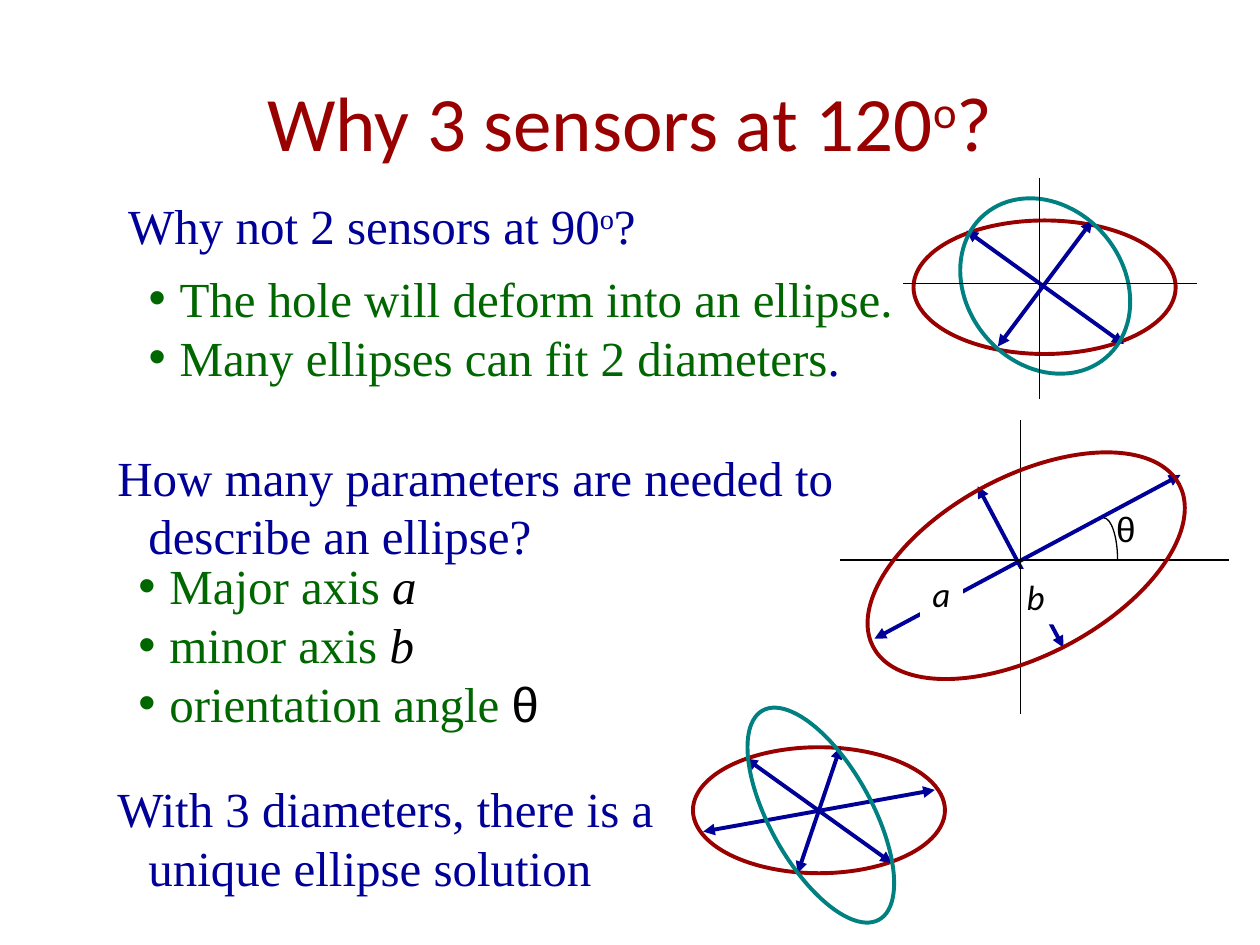
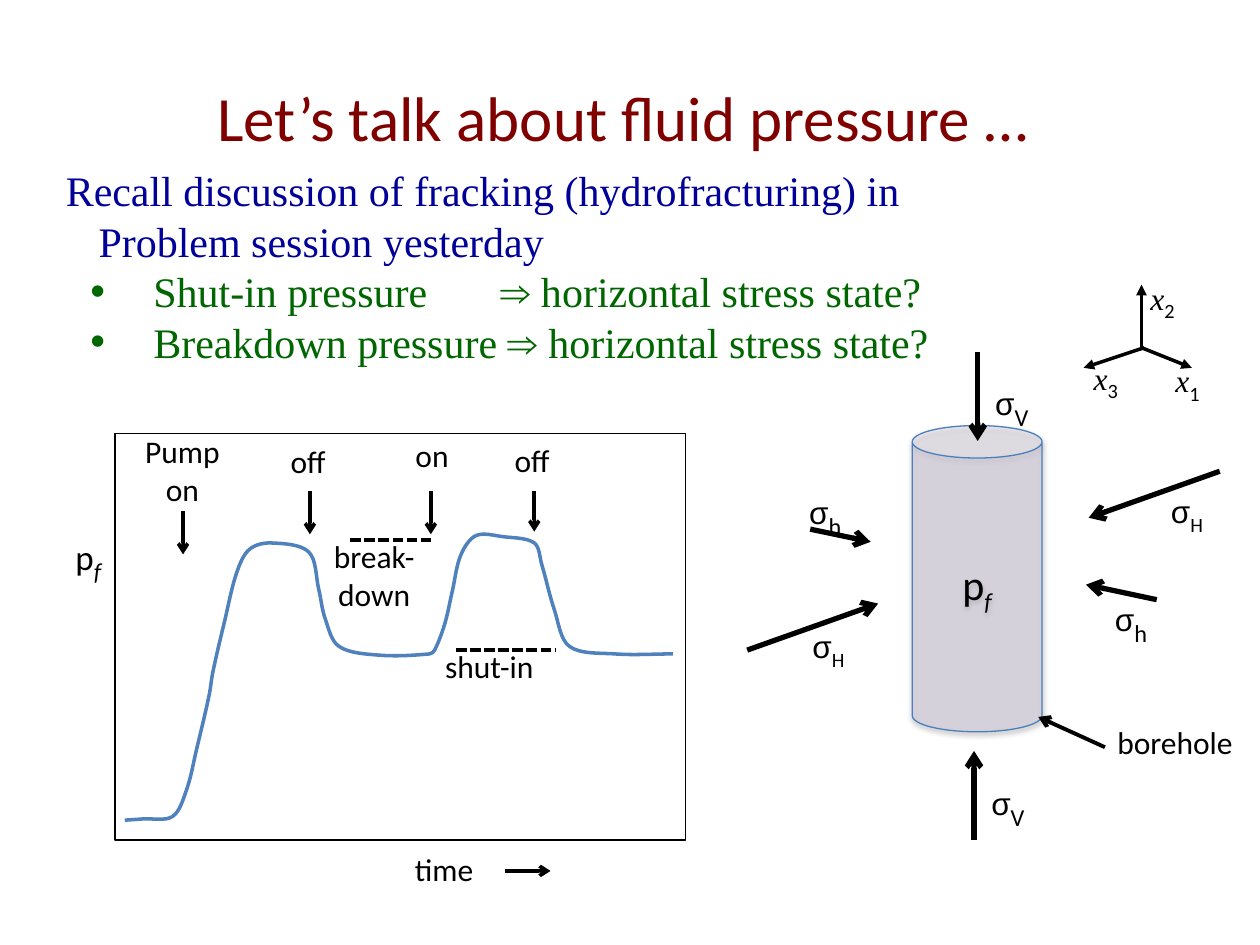
import math
from dataclasses import dataclass, replace

import pptx
import pptx.dml.color
import pptx.enum.dml
import pptx.enum.shapes
import pptx.enum.text
import pptx.oxml
import pptx.oxml.ns
import pptx.util

Pt = pptx.util.Pt
RGBColor = pptx.dml.color.RGBColor
SHAPE = pptx.enum.shapes.MSO_SHAPE
ALIGN = pptx.enum.text.PP_ALIGN
qn = pptx.oxml.ns.qn

BLACK = RGBColor(0x00, 0x00, 0x00)
WHITE = RGBColor(0xFF, 0xFF, 0xFF)
RED = RGBColor(0x99, 0x00, 0x00)
MAROON = RGBColor(0x80, 0x00, 0x00)
NAVY = RGBColor(0x00, 0x00, 0x99)
GREEN = RGBColor(0x00, 0x66, 0x00)
TEAL = RGBColor(0x00, 0x80, 0x80)
BLUE = RGBColor(0x4F, 0x81, 0xBD)
CAN_EDGE = RGBColor(0x4B, 0x7E, 0xBC)
LILAC = RGBColor(0xCC, 0xC1, 0xDA)


@dataclass(frozen=True)
class Style:
    size: float
    font: str = "Calibri"
    color: RGBColor = BLACK
    italic: bool = False
    baseline: int = 0


@dataclass(frozen=True)
class Layout:
    margin: float = 0
    hanging: float = 0
    bullet: bool = False
    tabs: tuple = ()


LABEL = Style(18)
LETTER = Style(20, italic=True)
THETA = Style(20, "Arial")
QUESTION = Style(28, "Times New Roman", NAVY)
ANSWER = replace(QUESTION, color=GREEN)
SYMBOL = replace(QUESTION, color=BLACK, italic=True)
PLAIN = Layout()
HANGING = Layout(17.7, 17.7)
BULLET = Layout(17.7, 17.7, True)


def drawing_xml(tag, inner="", **attributes):
    settings = " ".join(f'{key}="{value}"' for key, value in attributes.items())
    return pptx.oxml.parse_xml(
        f"<a:{tag} {pptx.oxml.ns.nsdecls('a')} {settings}>{inner}</a:{tag}>")


def lay_out(paragraph, layout):
    properties = paragraph._p.get_or_add_pPr()
    properties.set("marL", str(Pt(layout.margin)))
    properties.set("indent", str(-Pt(layout.hanging)))
    if layout.bullet:
        properties.append(drawing_xml("buFont", typeface="Arial"))
        properties.append(drawing_xml("buChar", char="•"))
    if layout.tabs:
        stops = "".join(f'<a:tab pos="{Pt(tab)}" algn="l"/>' for tab in layout.tabs)
        properties.append(drawing_xml("tabLst", stops))


def write(frame, paragraphs, align=ALIGN.LEFT, layout=PLAIN):
    for index, pieces in enumerate(paragraphs):
        paragraph = frame.paragraphs[0] if index == 0 else frame.add_paragraph()
        paragraph.alignment = align
        if layout != PLAIN:
            lay_out(paragraph, layout)
        for words, style in pieces:
            run = paragraph.add_run()
            run.text = words
            run.font.size = Pt(style.size)
            run.font.name = style.font
            run.font.color.rgb = style.color
            run.font.italic = style.italic
            if style.baseline:
                run._r.get_or_add_rPr().set("baseline", str(style.baseline * 1000))


def add_text(parent, box, paragraphs, align=ALIGN.LEFT, layout=PLAIN, wrap=True, fill=None):
    text = parent.shapes.add_textbox(*map(Pt, box))
    frame = text.text_frame
    frame.word_wrap = wrap
    frame.auto_size = pptx.enum.text.MSO_AUTO_SIZE.SHAPE_TO_FIT_TEXT
    if fill is not None:
        text.fill.solid()
        text.fill.fore_color.rgb = fill
    write(frame, paragraphs, align, layout)
    return frame


def add_title(slide, left, top, width, pieces):
    frame = add_text(slide, (left, top, width, 90), [pieces], ALIGN.CENTER)
    frame.auto_size = pptx.enum.text.MSO_AUTO_SIZE.NONE
    frame.vertical_anchor = pptx.enum.text.MSO_ANCHOR.MIDDLE


def add_line(parent, start, end, color=BLACK, width=0.75, head=None, tail=None, dashed=False):
    line = parent.shapes.add_connector(
        pptx.enum.shapes.MSO_CONNECTOR.STRAIGHT, *map(Pt, (*start, *end)))
    line.line.color.rgb = color
    line.line.width = Pt(width)
    if dashed:
        line.line.dash_style = pptx.enum.dml.MSO_LINE.SQUARE_DOT
    properties = line._element.spPr
    outline = properties.find(qn("a:ln"))
    for end_name, arrowhead in (("headEnd", head), ("tailEnd", tail)):
        if arrowhead:
            outline.append(drawing_xml(end_name, type=arrowhead))
    properties.append(drawing_xml("effectLst"))


def outline_only(shape, color, width):
    shape.shadow.inherit = False
    shape.fill.background()
    shape.line.color.rgb = color
    shape.line.width = Pt(width)


def add_outline(parent, kind, box, color, width=2.25, rotation=0):
    shape = parent.shapes.add_shape(kind, *map(Pt, box))
    shape.rotation = rotation
    outline_only(shape, color, width)
    return shape


def add_curve(parent, start, bends, color, width):
    builder = parent.shapes.build_freeform(*map(Pt, start))
    builder.add_line_segments([tuple(map(Pt, bend[-1])) for bend in bends], close=False)
    curve = builder.convert_to_shape()
    outline_only(curve, color, width)
    left, top = curve.left, curve.top
    straights = list(curve._element.spPr.iter(qn("a:lnTo")))
    for straight, bend in zip(straights, bends):
        points = "".join(f'<a:pt x="{Pt(x) - left}" y="{Pt(y) - top}"/>' for x, y in bend)
        straight.getparent().replace(straight, drawing_xml("cubicBezTo", points))


def smooth(knots):
    lengths = [math.dist(a, b) for a, b in zip(knots, knots[1:])]
    last = len(knots) - 1

    def handle(i, reach):
        before, after = max(i - 1, 0), min(i + 1, last)
        scale = reach / 3 / sum(lengths[before:after])
        return tuple(knots[i][axis] + scale * (knots[after][axis] - knots[before][axis])
                     for axis in (0, 1))

    return [(handle(i, length), handle(i + 1, -length), knots[i + 1])
            for i, length in enumerate(lengths)]


def add_diameters(parent, diameters):
    for start, end in diameters:
        add_line(parent, start, end, NAVY, 2.25, "triangle", "triangle")


def add_cross(parent, left, right, top, bottom, center):
    x, y = center
    add_line(parent, (left, y), (right, y))
    add_line(parent, (x, bottom), (x, top))


def add_symbol(parent, left, top, width, symbol, style, index, index_size):
    subscript = Style(index_size, baseline=-25)
    add_text(parent, (left, top, width, 28.8), [[(symbol, style), (index, subscript)]],
             wrap=False)


def draw_two_diameters(group):
    add_outline(group, SHAPE.OVAL, (522, 126, 149.8, 76.3), RED)
    add_diameters(group, [((552.2, 131.8), (642.2, 196.6)), ((570.2, 198), (624.2, 126))])
    add_outline(group, SHAPE.OVAL, (543.6, 118.8, 107.3, 89.3), TEAL, rotation=50)
    add_cross(group, 516.2, 684, 102, 228, (594, 162))


def draw_three_diameters(group):
    add_outline(group, SHAPE.OVAL, (396, 427, 144, 72), RED)
    add_diameters(group, [((426.2, 433.4), (509.8, 493.2)),
                          ((401.8, 475.2), (534.2, 451.4)),
                          ((455.8, 499), (480.2, 427))])
    add_outline(group, SHAPE.OVAL, (439.9, 397.4, 58.3, 136.8), TEAL, rotation=330.9)


def draw_ellipse_parameters(group):
    add_diameters(group, [((558.7, 277.9), (607.7, 370.1)), ((499.7, 365), (674.6, 271.4))])
    add_curve(group, (630.7, 295.9), [((635, 295.9), (638.6, 306.7), (638.6, 319.9))],
              BLACK, 0.75)
    for left, top, letter, style, fill in ((630.7, 286.6, "θ", THETA, None),
                                           (579.6, 325.2, "b", LETTER, WHITE),
                                           (525.8, 323.7, "a", LETTER, WHITE)):
        add_text(group, (left, top, 24.5, 31.7), [[(letter, style)]], wrap=False, fill=fill)
    add_cross(group, 480.2, 702, 240, 408, (583.2, 320))
    add_outline(group, SHAPE.OVAL, (487.4, 272.2, 198, 102.2), RED, rotation=332)


def build_sensors(slide):
    heading = Style(44, color=RED)
    add_title(slide, 54, 23.8, 612, [("Why 3 sensors at 120", heading),
                                     ("o", replace(heading, baseline=30)), ("?", heading)])
    add_text(slide, (77.8, 149.8, 439.9, 74.2),
             [[("The hole will deform into an ellipse.", ANSWER)],
              [("Many ellipses can fit 2 diameters", ANSWER), (".", QUESTION)]],
             layout=BULLET, wrap=False)
    draw_two_diameters(slide.shapes.add_group_shape())
    draw_three_diameters(slide.shapes.add_group_shape())
    add_text(slide, (66.2, 108, 306, 41),
             [[("Why not 2 sensors at 90", QUESTION),
               ("o", replace(QUESTION, baseline=30)), ("?", QUESTION)]],
             layout=HANGING, wrap=False)
    add_text(slide, (60, 252, 444.2, 74.2),
             [[("How many parameters are needed to describe an ellipse?", QUESTION)]],
             layout=HANGING)
    add_text(slide, (72, 314.2, 257.8, 108),
             [[("Major axis ", ANSWER), ("a", SYMBOL)],
              [("minor axis ", ANSWER), ("b", SYMBOL)],
              [("orientation angle ", ANSWER), ("θ", replace(THETA, size=28))]],
             layout=BULLET)
    add_text(slide, (60, 441.4, 365.8, 74.2),
             [[("With 3 diameters, there is a unique ellipse solution", QUESTION)]],
             layout=HANGING)
    draw_ellipse_parameters(slide.shapes.add_group_shape())


def draw_pressure_record(group):
    add_outline(group, SHAPE.RECTANGLE, (65.8, 247.7, 325.9, 232.3), BLACK, 1)
    add_text(group, (230, 482, 59, 33.8), [[("time", LABEL)]], wrap=False)
    add_text(group, (36, 298.4, 33.8, 31.7),
             [[("p", Style(20)), ("f", Style(24, italic=True, baseline=-25))]])
    pressure = [
        (71.3, 468.7), (81.4, 468), (98.6, 466.6), (106.6, 451.4), (112.3, 428.4),
        (119.5, 397.4), (121.7, 383.8), (128.2, 355.7), (135.4, 326.9), (142.6, 313.9),
        (154.8, 310.3), (176.4, 315.4), (182.2, 337), (185.8, 353.5), (193.7, 369.4),
        (216.7, 374.4), (245.5, 373.7), (248.4, 371.5), (254.2, 356.4), (258.5, 337.7),
        (263.5, 316.8), (272.2, 306), (287.3, 306.7), (305.3, 310.3), (309.6, 322.6),
        (316.8, 348.5), (325.4, 369.4), (351.4, 373.7), (384.5, 373.7)]
    add_curve(group, pressure[0], smooth(pressure), BLUE, 2)
    for words, box, x, top, bottom in (
            ("on", (215.6, 245.5, 62.6, 28.8), 246.2, 280.4, 305.3),
            ("off", (154.5, 249.1, 43.2, 28.8), 177.1, 280.8, 305.3),
            ("off", (282.5, 248.4, 43.2, 28.8), 305.3, 280.4, 303.8),
            ("Pump on", (73, 243.4, 62.6, 51.1), 104.6, 292.3, 316.8)):
        add_text(group, box, [[(words, LABEL)]], ALIGN.CENTER)
        add_line(group, (x, top), (x, bottom), width=2, tail="arrow")
    for words, box, left, right, y in (
            ("break-down", (179.3, 303.4, 69.1, 51.1), 200.2, 247, 308.7),
            ("shut-in", (245.8, 366.2, 67.7, 28.8), 260.6, 317.5, 371.5)):
        add_text(group, box, [[(words, LABEL)]], ALIGN.CENTER)
        add_line(group, (left, y), (right, y), width=2, dashed=True)
    add_line(group, (288.7, 497.7), (314.6, 497.7), width=2, tail="arrow")


def draw_can(group):
    borehole = add_outline(group, SHAPE.CAN, (521.3, 243.2, 74.2, 175), CAN_EDGE, 0.75)
    borehole.fill.solid()
    borehole.fill.fore_color.rgb = LILAC
    properties = borehole._element.spPr
    properties.find(qn("a:solidFill"))[0].append(drawing_xml("alpha", val=40000))
    properties.find(qn("a:effectLst")).append(drawing_xml(
        "outerShdw", '<a:srgbClr val="000000"><a:alpha val="35000"/></a:srgbClr>',
        blurRad=Pt(3.1), dist=Pt(1.8), dir=5400000, rotWithShape=0))
    borehole.text_frame.vertical_anchor = pptx.enum.text.MSO_ANCHOR.MIDDLE
    write(borehole.text_frame,
          [[("p", Style(24)), ("f", Style(24, italic=True, baseline=-25))]], ALIGN.CENTER)


def draw_borehole(group):
    draw_can(group)
    sigma = Style(18, "Arial")
    for index, size, start, end, left, top in (
            ("H", 20, (697, 269.3), (622.1, 295.9), 662, 275.8),
            ("H", 20, (427, 371.5), (501.8, 344.9), 457.2, 352.8),
            ("h", 24, (661, 342.7), (620.6, 334.1), 630, 333.4),
            ("h", 24, (463, 302.4), (497.5, 309.6), 455.3, 272.2),
            ("V", 24, (558.7, 200.9), (558.7, 252), 561.6, 210.2),
            ("V", 24, (556.6, 480.2), (556.6, 429.1), 559.4, 438.5)):
        add_line(group, start, end, width=3, tail="arrow")
        add_symbol(group, left, top, 36 if index == "V" else 33.8, "σ", sigma, index, size)
    coordinate = Style(18, "Times New Roman", italic=True)
    for index, start, tip, left, top in (
            ("1", (652.3, 198.7), (681.1, 210.2), 664.6, 200.9),
            ("2", (652.3, 198.7), (652.3, 162.7), 650.2, 153.7),
            ("3", (653.8, 198.7), (619.2, 210.2), 617.8, 199.4)):
        add_line(group, start, tip, width=2, tail="triangle")
        add_symbol(group, left, top, 32, "x", coordinate, index, 20)
    add_text(group, (631.4, 409.7, 81.4, 28.8), [[("borehole", LABEL)]], wrap=False)
    add_line(group, (631.4, 427), (593.3, 409.7), width=2.25, tail="arrow")


def build_fluid_pressure(slide):
    add_title(slide, 36, 21.6, 648,
              [("Let’s talk about fluid pressure … ", Style(36, color=MAROON))])
    recall = replace(QUESTION, size=24)
    topic = replace(ANSWER, size=24)
    frame = add_text(
        slide, (30.5, 90.7, 565.2, 123.8),
        [[("Recall discussion of fracking (hydrofracturing) in Problem session yesterday", recall)],
         [("Shut-in pressure\t⇒ horizontal stress state?", topic)],
         [("Breakdown pressure ⇒ horizontal stress state?", topic)]])
    layouts = (Layout(18.7, 18.7), Layout(50, 36, True, (198.3, 248.3)), Layout(50, 36, True))
    for paragraph, layout in zip(frame.paragraphs, layouts):
        lay_out(paragraph, layout)
    draw_pressure_record(slide.shapes.add_group_shape())
    draw_borehole(slide.shapes.add_group_shape())


def main():
    deck = pptx.Presentation()
    deck.slide_width, deck.slide_height = Pt(720), Pt(540)
    for build in (build_sensors, build_fluid_pressure):
        build(deck.slides.add_slide(deck.slide_layouts[6]))
    deck.save("out.pptx")


if __name__ == "__main__":
    main()
